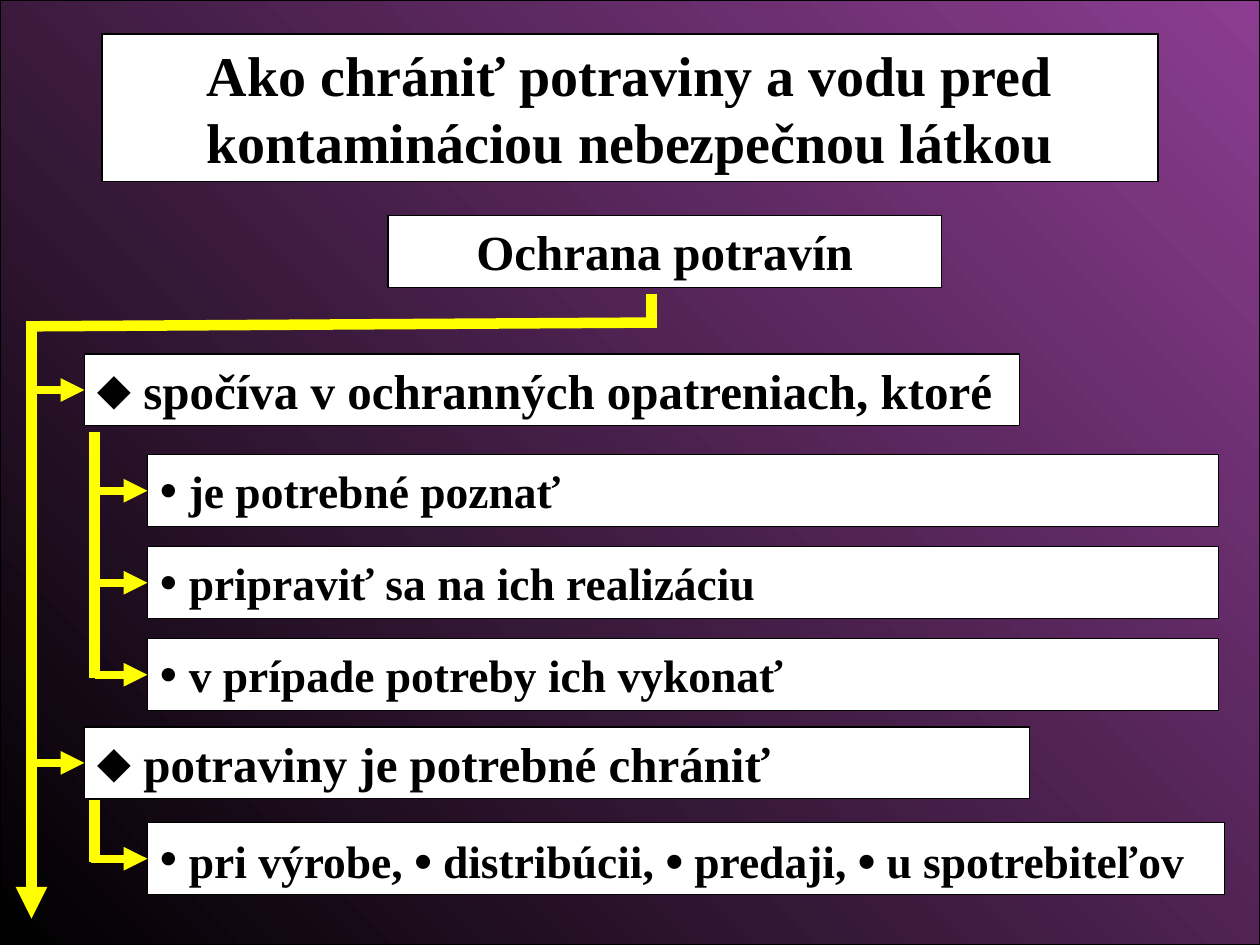
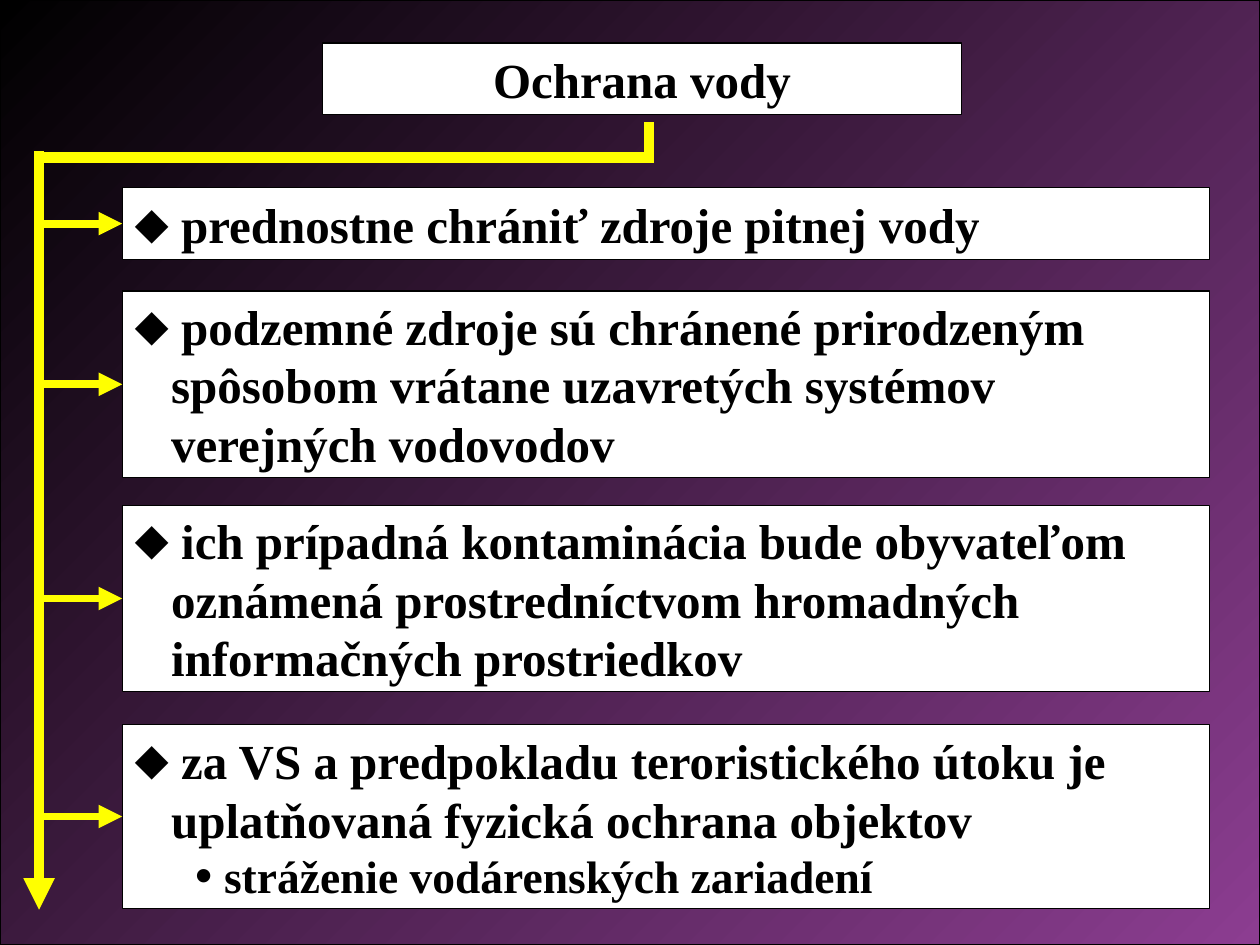
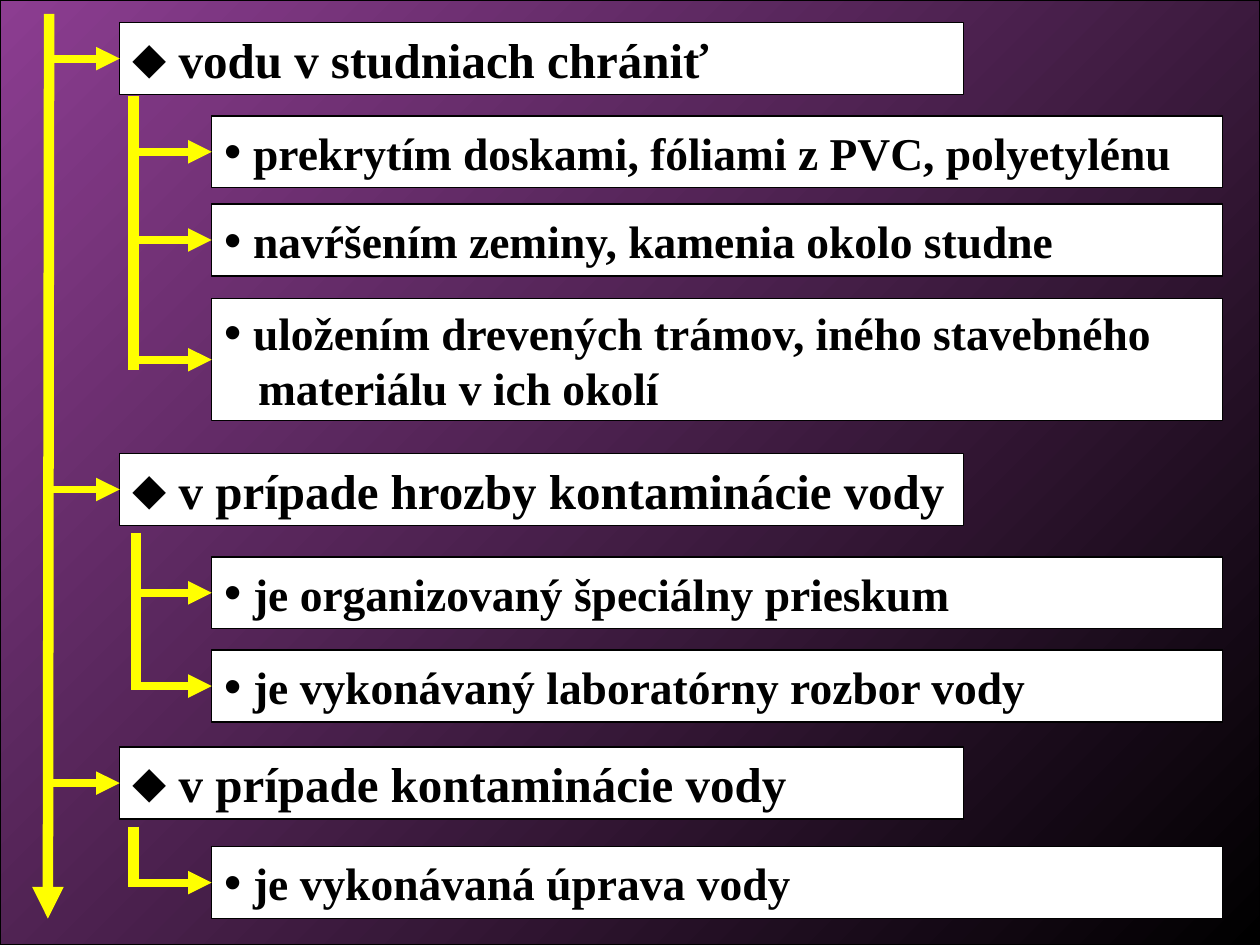
from lxml import etree
from pptx import Presentation
from pptx.dml.color import RGBColor
from pptx.enum.shapes import MSO_CONNECTOR, MSO_SHAPE
from pptx.enum.text import MSO_ANCHOR, MSO_AUTO_SIZE, PP_ALIGN
from pptx.oxml.ns import qn
from pptx.util import Inches, Pt

RECT = MSO_SHAPE.RECTANGLE
LINE = MSO_CONNECTOR.STRAIGHT
MIDDLE = MSO_ANCHOR.MIDDLE
NO_FIT = MSO_AUTO_SIZE.NONE
LEFT, CENTER = PP_ALIGN.LEFT, PP_ALIGN.CENTER

COLORS = {"box": "FFFFFF", "ink": "000000", "arrow": "FFFF00",
          "light": "8C3D91", "dark": "000000"}
SERIF, SANS = "Times New Roman", "Arial"
TITLE_ONLY, BLANK = 5, 6
LEFT_SIDE = 1
ROW = 0.57

# Line kinds: bullet, text size, left margin, hanging indent
KINDS = {
    "main": ("⬥", 28, 0.37, 0.37),
    "more": (None, 28, 0.29, 0),
    "sub": ("•", 26, 0.23, 0.23),
    "submore": (None, 26, 0.27, 0),
    "nested": ("•", 26, 0.71, 0.23),
}


def color(name):
    return RGBColor.from_string(COLORS[name])


def add_bullet(para, char, size, left, hang):
    props = para._p.get_or_add_pPr()
    props.set("marL", str(Inches(left)))
    props.set("indent", str(-Inches(hang)))
    if char:
        ratio = str(round(28 / size * 100) * 1000)
        for tag, key, value in (("a:buSzPct", "val", ratio),
                                ("a:buFont", "typeface", SANS),
                                ("a:buChar", "char", char)):
            etree.SubElement(props, qn(tag)).set(key, value)


def add_run(para, text, size=28, font=SERIF):
    run = para.add_run()
    run.text = text
    run.font.size = Pt(size)
    run.font.name = font
    run.font.bold = True
    run.font.color.rgb = color("ink")


def write(para, text, size=28, align=LEFT):
    """Fill a paragraph; dots inside the text get the bullet font."""
    para.alignment = align
    for i, part in enumerate(text.split("•")):
        if i:
            add_run(para, "•", font=SANS)
        add_run(para, part, size)


class Deck:
    def __init__(self):
        self.prs = Presentation()
        self.prs.slide_width, self.prs.slide_height = Inches(10), Inches(7.5)
        self.slide = None

    def page(self, layout, angle, first="light", last="dark"):
        self.slide = self.prs.slides.add_slide(self.prs.slide_layouts[layout])
        back = self.slide.shapes.add_shape(
            RECT, 0, 0, self.prs.slide_width, self.prs.slide_height)
        back.shadow.inherit = False
        back.fill.gradient()
        back.fill.gradient_angle = angle
        for stop, name in zip(back.fill.gradient_stops, (first, last)):
            stop.color.rgb = color(name)
        self.outline(back)
        # Keep the backdrop behind the title
        self.slide.shapes._spTree.insert(2, back._element)

    def outline(self, shape):
        shape.line.color.rgb = color("ink")
        shape.line.width = Pt(0.75)

    def style(self, shape):
        shape.fill.solid()
        shape.fill.fore_color.rgb = color("box")
        self.outline(shape)
        frame = shape.text_frame
        frame.word_wrap = True
        frame.auto_size = NO_FIT
        frame.vertical_anchor = MIDDLE
        return frame

    def box(self, x, y, w, h=ROW):
        shape = self.slide.shapes.add_shape(
            RECT, Inches(x), Inches(y), Inches(w), Inches(h))
        shape.shadow.inherit = False
        self.style(shape)
        return shape

    def title(self, text, x, y, w, h=ROW, size=28):
        shape = self.slide.shapes.title
        shape.left, shape.top = Inches(x), Inches(y)
        shape.width, shape.height = Inches(w), Inches(h)
        write(self.style(shape).paragraphs[0], text, size=size, align=CENTER)

    def head(self, text, x, y, w):
        para = self.box(x, y, w).text_frame.paragraphs[0]
        write(para, text, align=CENTER)

    def item(self, lines, x, y, w, h=ROW, stem=0):
        """A box of lines, with an arrow from the stem to its left side."""
        shape = self.box(x, y, w, h)
        frame = shape.text_frame
        for i, (kind, text) in enumerate(lines):
            para = frame.add_paragraph() if i else frame.paragraphs[0]
            char, size, left, hang = KINDS[kind]
            add_bullet(para, char, size, left, hang)
            write(para, text, size=size)
        mid = y + h / 2
        arrow = self.line(stem, mid, x, mid, width=4.5, tip=True)
        arrow.end_connect(shape, LEFT_SIDE)

    def line(self, x1, y1, x2, y2, width=6, tip=False):
        link = self.slide.shapes.add_connector(
            LINE, Inches(x1), Inches(y1), Inches(x2), Inches(y2))
        link.line.color.rgb = color("arrow")
        link.line.width = Pt(width)
        if tip:
            tail = etree.SubElement(link.line._get_or_add_ln(), qn("a:tailEnd"))
            tail.set("type", "triangle")
        etree.SubElement(link._element.spPr, qn("a:effectLst"))
        return link


def food(deck):
    deck.page(TITLE_ONLY, 225)
    deck.title("Ako chrániť potraviny a vodu pred kontamináciou nebezpečnou látkou",
               0.81, 0.27, 8.38, 1.17, size=32)
    deck.head("Ochrana potravín", 3.08, 1.71, 4.39)
    # Trunk
    deck.line(5.17, 2.33, 5.17, 2.6)
    deck.line(5.21, 2.56, 0.25, 2.59)
    deck.line(0.25, 2.55, 0.25, 7.29, tip=True)
    # Main points
    for text, y, w in (("spočíva v ochranných opatreniach, ktoré", 2.81, 7.42),
                       ("potraviny je potrebné chrániť", 5.77, 7.5)):
        deck.item([("main", text)], 0.67, y, w, stem=0.25)
    # Details
    deck.line(0.75, 3.43, 0.75, 5.38)
    deck.line(0.75, 6.35, 0.75, 6.84)
    steps = ("je potrebné poznať", "pripraviť sa na ich realizáciu",
             "v prípade potreby ich vykonať")
    for i, text in enumerate(steps):
        deck.item([("sub", text)], 1.17, 3.61 + 0.73 * i, 8.5, stem=0.75)
    deck.item([("sub", "pri výrobe, • distribúcii, • predaji, • u spotrebiteľov")],
              1.17, 6.53, 8.55, stem=0.72)


def water(deck):
    deck.page(TITLE_ONLY, 135)
    deck.title("Ochrana vody", 2.56, 0.34, 5.07)
    # Trunk
    deck.line(5.15, 0.97, 5.15, 1.29)
    deck.line(5.15, 1.25, 0.31, 1.25)
    deck.line(0.31, 1.2, 0.31, 7.22, tip=True)
    # Main points
    rows = (
        (1.49, ROW, [("main", "prednostne chrániť zdroje pitnej vody")]),
        (2.31, 1.48, [("main", "podzemné zdroje sú chránené prirodzeným"),
                      ("more", "spôsobom vrátane uzavretých systémov"),
                      ("more", "verejných vodovodov")]),
        (4.01, 1.48, [("main", "ich prípadná kontaminácia bude obyvateľom"),
                      ("more", "oznámená prostredníctvom hromadných"),
                      ("more", "informačných prostriedkov")]),
        (5.75, 1.46, [("main", "za VS a predpokladu teroristického útoku je"),
                      ("more", "uplatňovaná fyzická ochrana objektov"),
                      ("nested", "stráženie vodárenských zariadení")]),
    )
    for y, h, lines in rows:
        deck.item(lines, 0.97, y, 8.63, h, stem=0.31)


def wells(deck):
    deck.page(BLANK, 135, first="dark", last="light")
    # Trunk and branches
    deck.line(0.39, 0.11, 0.38, 7.29, tip=True)
    for x, top, end in ((1.06, 0.76, 2.94), (1.08, 4.23, 5.48), (1.06, 6.56, 7.04)):
        deck.line(x, top, x, end)
    # Main points
    for text, y in (("vodu v studniach chrániť", 0.18),
                    ("v prípade hrozby kontaminácie vody", 3.6),
                    ("v prípade kontaminácie vody", 5.93)):
        deck.item([("main", text)], 0.95, y, 6.7, stem=0.39)
    # Details
    for text, y in (("prekrytím doskami, fóliami z PVC, polyetylénu", 0.92),
                    ("navŕšením zeminy, kamenia okolo studne", 1.62),
                    ("je organizovaný špeciálny prieskum", 4.42),
                    ("je vykonávaný laboratórny rozbor vody", 5.16),
                    ("je vykonávaná úprava vody", 6.72)):
        deck.item([("sub", text)], 1.68, y, 8.02, stem=1.06)
    deck.item([("sub", "uložením drevených trámov, iného stavebného"),
               ("submore", "materiálu v ich okolí")],
              1.68, 2.37, 8.02, 0.97, stem=1.06)


def main():
    deck = Deck()
    for build in (food, water, wells):
        build(deck)
    deck.prs.save("out.pptx")


if __name__ == "__main__":
    main()
